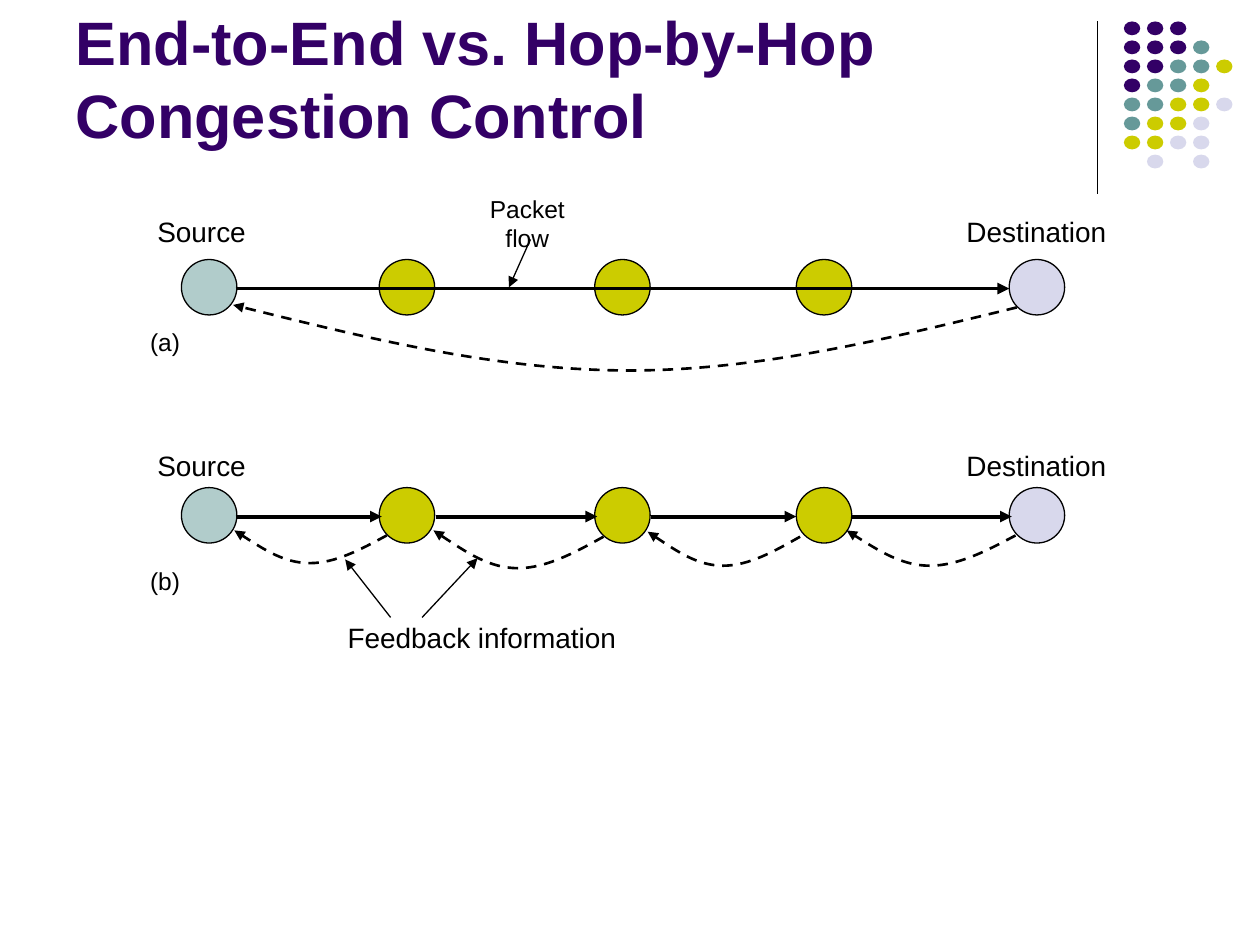
"""Build a slide comparing end-to-end with hop-by-hop congestion control."""
from lxml import etree
from pptx import Presentation
from pptx import util as u
from pptx.dml.color import RGBColor
from pptx.enum import dml, shapes, text
from pptx.oxml.ns import qn


def ink(part, tint):
    """Give a fill or font a solid hex colour."""
    if hasattr(part, "solid"):
        part.solid()
        part = part.fore_color
    else:
        part = part.color
    part.rgb = RGBColor.from_string(tint)


def arrow(line, wide, dash=False):
    """Style a line or curve as a black arrow."""
    ink(line.line.fill, "000000")
    line.line.width = u.Pt(wide)
    if dash:
        line.line.dash_style = dml.MSO_LINE.DASH
    props = line._element.spPr
    etree.SubElement(props.find(qn("a:ln")), qn("a:tailEnd"), type="triangle")
    if props.find(qn("a:effectLst")) is None:
        etree.SubElement(props, qn("a:effectLst"))


deck = Presentation()
deck.slide_width, deck.slide_height = u.Inches(10), u.Inches(7.5)
unit = deck.slide_width // 10
slide = deck.slides.add_slide(deck.slide_layouts[5])
items = slide.shapes

title = items.title
title.left, title.top, title.width, title.height = [
    int(n * unit) for n in (0.5, 0.13, 8.25, 1.12)]
frame = title.text_frame
frame.word_wrap = True
frame.auto_size = text.MSO_AUTO_SIZE.NONE
frame.vertical_anchor = text.MSO_ANCHOR.BOTTOM
para = frame.paragraphs[0]
para.alignment = text.PP_ALIGN.LEFT
run = para.add_run()
run.text = "End-to-End vs. Hop-by-Hop Congestion Control"
run.font.name, run.font.size, run.font.bold = "Arial", u.Pt(35), True
ink(run.font, "330066")

rule = items.add_connector(shapes.MSO_CONNECTOR.STRAIGHT, *[
    int(n * unit) for n in (8.71, 0.17, 8.71, 1.54)])
ink(rule.line.fill, "000000")
rule.line.width = u.Pt(0.75)
etree.SubElement(rule._element.spPr, qn("a:effectLst"))

tints = {"P": "330066", "T": "669999", "Y": "CCCC00", "L": "D8D8EC"}
dots = ["PPP", "PPPT", "PPTTY", "PTTY", "TTYYL", "TYYL", "YYLL", " L L"]
ovals = [(8.92 + 0.183 * col, 0.17 + 0.151 * row, 0.13, 0.11, tints[key], False)
         for row, keys in enumerate(dots)
         for col, key in enumerate(keys) if key in tints]
nodes = [(1.44, "B1CCCB"), (3.01, "CCCC00"), (4.72, "CCCC00"),
         (6.32, "CCCC00"), (8.01, "D8D8EC")]
ovals += [(left, top, 0.44, 0.44, tint, True)
          for top in (2.06, 3.87) for left, tint in nodes]
for left, top, wide, high, tint, edge in ovals:
    oval = items.add_shape(shapes.MSO_SHAPE.OVAL, *[
        int(n * unit) for n in (left, top, wide, high)])
    oval.shadow.inherit = False
    ink(oval.fill, tint)
    if edge:
        ink(oval.line.fill, "000000")
        oval.line.width = u.Pt(0.75)
    else:
        oval.line.fill.background()

flows = [(1.87, 2.29, 8.01, 2.29, 2.25)]
flows += [(start, 4.1, end, 4.1, 2.25) for start, end in
          ((1.87, 3.03), (3.46, 4.74), (5.17, 6.32), (6.76, 8.03))]
flows += [(3.1, 4.9, 2.74, 4.44, 0.75), (3.35, 4.9, 3.79, 4.43, 0.75),
          (4.21, 1.9, 4.04, 2.28, 0.75)]
for *ends, wide in flows:
    arrow(items.add_connector(shapes.MSO_CONNECTOR.STRAIGHT,
                              *[int(n * unit) for n in ends]), wide)

bends = [((8.07, 2.44), (5, 2.94), (1.85, 2.42)),
         ((3.07, 4.25), (2.46, 4.47), (1.86, 4.21)),
         ((4.79, 4.26), (4.11, 4.51), (3.44, 4.21)),
         ((6.35, 4.26), (5.74, 4.49), (5.14, 4.22)),
         ((8.06, 4.25), (7.38, 4.49), (6.72, 4.21))]
for (ax, ay), (mx, my), (bx, by) in bends:
    spots = [(ax + (mx - ax) / 3, (ay + my) / 2),
             (ax + (mx - ax) * 2 / 3, my), (mx, my),
             (mx + (bx - mx) / 3, my),
             (mx + (bx - mx) * 2 / 3, (my + by) / 2), (bx, by)]
    pen = items.build_freeform(int(ax * unit), int(ay * unit))
    pen.add_line_segments([(int(x * unit), int(y * unit)) for x, y in spots],
                          close=False)
    curve = pen.convert_to_shape()
    curve.shadow.inherit = False
    curve.fill.background()
    track = next(curve._element.iter(qn("a:path")))
    steps = track.findall(qn("a:lnTo"))
    for first in (0, 3):
        cubic = etree.SubElement(track, qn("a:cubicBezTo"))
        for step in steps[first:first + 3]:
            cubic.append(step[0])
            track.remove(step)
    arrow(curve, 1.5, True)

labels = [("Source", 1.15, 1.65, 0.9, 16), ("Destination", 7.57, 1.65, 1.31, 16),
          ("Source", 1.15, 3.51, 0.9, 16), ("Destination", 7.57, 3.51, 1.31, 16),
          ("Feedback information", 2.66, 4.87, 2.33, 16),
          ("Packet flow", 3.59, 1.6, 1.19, 14),
          ("(a)", 1.09, 2.54, 0.44, 14), ("(b)", 1.09, 4.44, 0.44, 14)]
for words, left, top, wide, size in labels:
    high = 0.37 if size == 16 else 0.34
    box = items.add_textbox(*[int(n * unit) for n in (left, top, wide, high)])
    frame = box.text_frame
    frame.word_wrap = False
    frame.auto_size = text.MSO_AUTO_SIZE.SHAPE_TO_FIT_TEXT
    frame.vertical_anchor = text.MSO_ANCHOR.MIDDLE
    para = frame.paragraphs[0]
    para.alignment = text.PP_ALIGN.CENTER
    run = para.add_run()
    run.text = words
    run.font.name, run.font.size = "Arial", u.Pt(size)
    ink(run.font, "000000")

deck.save("out.pptx")
